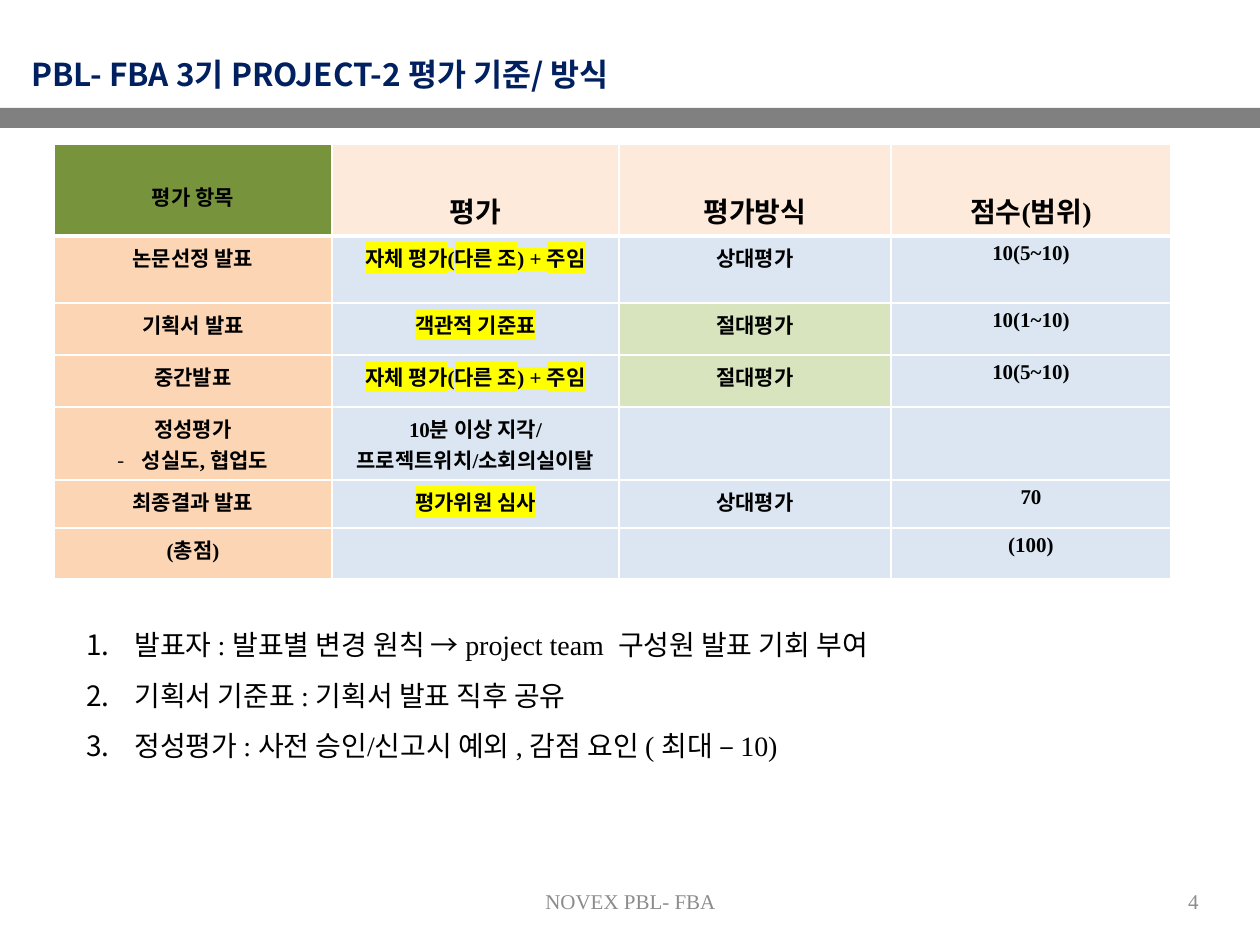
from lxml import etree
from pptx import Presentation
from pptx.dml.color import RGBColor
from pptx.enum.shapes import MSO_SHAPE
from pptx.enum.text import MSO_ANCHOR, PP_ALIGN
from pptx.oxml.ns import qn
from pptx.util import Pt

RECTANGLE = MSO_SHAPE.RECTANGLE
TOP, MIDDLE = MSO_ANCHOR.TOP, MSO_ANCHOR.MIDDLE
LEFT, CENTER, RIGHT = PP_ALIGN.LEFT, PP_ALIGN.CENTER, PP_ALIGN.RIGHT

WHITE = RGBColor(0xFF, 0xFF, 0xFF)
BLACK = RGBColor(0, 0, 0)
NAVY = RGBColor(0x00, 0x20, 0x60)
GRAY = RGBColor(0x80, 0x80, 0x80)
FOOTER_GRAY = RGBColor(0x8C, 0x8C, 0x8C)
GREEN = RGBColor(0x77, 0x93, 0x3C)
CREAM = RGBColor(0xFD, 0xEA, 0xDA)
ORANGE = RGBColor(0xFC, 0xD5, 0xB5)
PALE_BLUE = RGBColor(0xDC, 0xE6, 0xF2)
PALE_GREEN = RGBColor(0xD7, 0xE4, 0xBD)
YELLOW = RGBColor(0xFF, 0xFF, 0x00)

SERIF = "Times New Roman"
SANS = "Noto Sans CJK KR"
SCALE = 914400 / 126

HEADER = ["평가 항목", "평가", "평가방식", "점수(범위)"]
ROWS = [
    ["논문선정 발표", "자체 평가(다른 조) + 주임", "상대평가", "10(5~10)"],
    ["기획서 발표", "객관적 기준표", "절대평가", "10(1~10)"],
    ["중간발표", "자체 평가(다른 조) + 주임", "절대평가", "10(5~10)"],
    ["정성평가\n성실도, 협업도", "10분 이상 지각/\n프로젝트위치/소회의실이탈", "", ""],
    ["최종결과 발표", "평가위원 심사", "상대평가", "70"],
    ["(총점)", "", "", "(100)"],
]
COLUMN_WIDTHS = [278, 287, 272, 280]
ROW_HEIGHTS = [92, 67, 52, 52, 73, 48, 51]
NOTES = [
    "발표자 : 발표별 변경 원칙 → project team  구성원 발표 기회 부여",
    "기획서 기준표 : 기획서 발표 직후 공유",
    "정성평가 : 사전 승인/신고시 예외 , 감점 요인 ( 최대 – 10)",
]


def px(length):
    return round(length * SCALE)


def add_bullet(paragraph, tag, indent, **attributes):
    properties = paragraph._p.get_or_add_pPr()
    properties.set("marL", str(px(indent)))
    properties.set("indent", str(-px(indent)))
    etree.SubElement(properties, qn("a:buFont"), typeface=SANS)
    etree.SubElement(properties, qn(tag), **attributes)


def write(paragraph, text, size=12, bold=False, color=BLACK, font=SERIF,
          align=LEFT, spacing=None, highlight=None):
    paragraph.alignment = align
    if spacing:
        paragraph.line_spacing = spacing
    run = paragraph.add_run()
    run.text = text
    run.font.size = Pt(size)
    run.font.bold = bold
    run.font.color.rgb = color
    run.font.name = font
    properties = run._r.get_or_add_rPr()
    latin = properties.find(qn("a:latin"))
    latin.addnext(latin.makeelement(qn("a:ea"), {"typeface": SANS}))
    if highlight is not None:
        mark = etree.Element(qn("a:highlight"))
        etree.SubElement(mark, qn("a:srgbClr"), val=str(highlight))
        latin.addprevious(mark)


def set_borders(cell, color, bottom):
    properties = cell._tc.get_or_add_tcPr()
    widths = {"a:lnL": 1, "a:lnR": 1, "a:lnT": 1, "a:lnB": bottom}
    for index, (tag, width) in enumerate(widths.items()):
        line = etree.Element(qn(tag), w=str(Pt(width)))
        fill = etree.SubElement(line, qn("a:solidFill"))
        etree.SubElement(fill, qn("a:srgbClr"), val=str(color))
        properties.insert(index, line)


def cell_fill(row, column, text):
    if row == 0:
        return GREEN if column == 0 else CREAM
    if column == 0:
        return ORANGE
    return PALE_GREEN if text == "절대평가" else PALE_BLUE


class SlideBuilder:
    """Holds the current slide and adds elements measured in px."""

    def __init__(self, slide):
        self.slide = slide

    def bar(self, left, top, width, height, color):
        shape = self.slide.shapes.add_shape(
            RECTANGLE, px(left), px(top), px(width), px(height))
        shape.shadow.inherit = False
        shape.fill.solid()
        shape.fill.fore_color.rgb = color
        shape.line.fill.background()

    def text(self, box, lines, anchor=MIDDLE, number_indent=None, **style):
        shape = self.slide.shapes.add_textbox(*map(px, box))
        frame = shape.text_frame
        frame.word_wrap = True
        frame.vertical_anchor = anchor
        for index, line in enumerate(lines):
            paragraph = frame.add_paragraph() if index else frame.paragraphs[0]
            if number_indent:
                add_bullet(paragraph, "a:buAutoNum", number_indent,
                           type="arabicPeriod")
            write(paragraph, line, **style)

    def table(self, left, top, widths, heights, rows):
        table = self.slide.shapes.add_table(
            len(rows), len(widths), px(left), px(top),
            px(sum(widths)), px(sum(heights))).table
        for column, width in zip(table.columns, widths):
            column.width = px(width)
        for row, height in zip(table.rows, heights):
            row.height = px(height)
        for row, texts in enumerate(rows):
            for column, text in enumerate(texts):
                self.fill_cell(table.cell(row, column), row, column, text)

    def fill_cell(self, cell, row, column, text):
        cell.fill.solid()
        cell.fill.fore_color.rgb = cell_fill(row, column, text)
        set_borders(cell, WHITE, bottom=1 if row else 3)
        if not text:
            return
        lines = text.split("\n")
        marked = row > 0 and column == 1 and len(lines) == 1
        for index, line in enumerate(lines):
            frame = cell.text_frame
            paragraph = frame.add_paragraph() if index else frame.paragraphs[0]
            if index and column == 0:
                add_bullet(paragraph, "a:buChar", 24, char="-")
            write(paragraph, line, bold=True, align=CENTER,
                  size=16 if row == 0 and column else 12,
                  spacing=None if row else 2.0,
                  highlight=YELLOW if marked else None)


def main():
    presentation = Presentation()
    presentation.slide_width = px(1260)
    presentation.slide_height = px(945)
    builder = SlideBuilder(
        presentation.slides.add_slide(presentation.slide_layouts[6]))

    builder.bar(0, 108, 1260, 20, GRAY)
    builder.text((19, 39, 984, 69), ["PBL- FBA 3기 PROJECT-2 평가 기준/ 방식"],
                 size=18, bold=True, color=NAVY, font=SANS)
    builder.table(54, 144, COLUMN_WIDTHS, ROW_HEIGHTS, [HEADER] + ROWS)
    builder.text((431, 876, 399, 50), ["NOVEX PBL- FBA"],
                 color=FOOTER_GRAY, align=CENTER)
    builder.text((917, 876, 294, 50), ["4"], color=FOOTER_GRAY, align=RIGHT)
    builder.text((74, 605, 1111, 204), NOTES, anchor=TOP, number_indent=48,
                 size=16, spacing=1.5)
    presentation.save("out.pptx")


if __name__ == "__main__":
    main()
